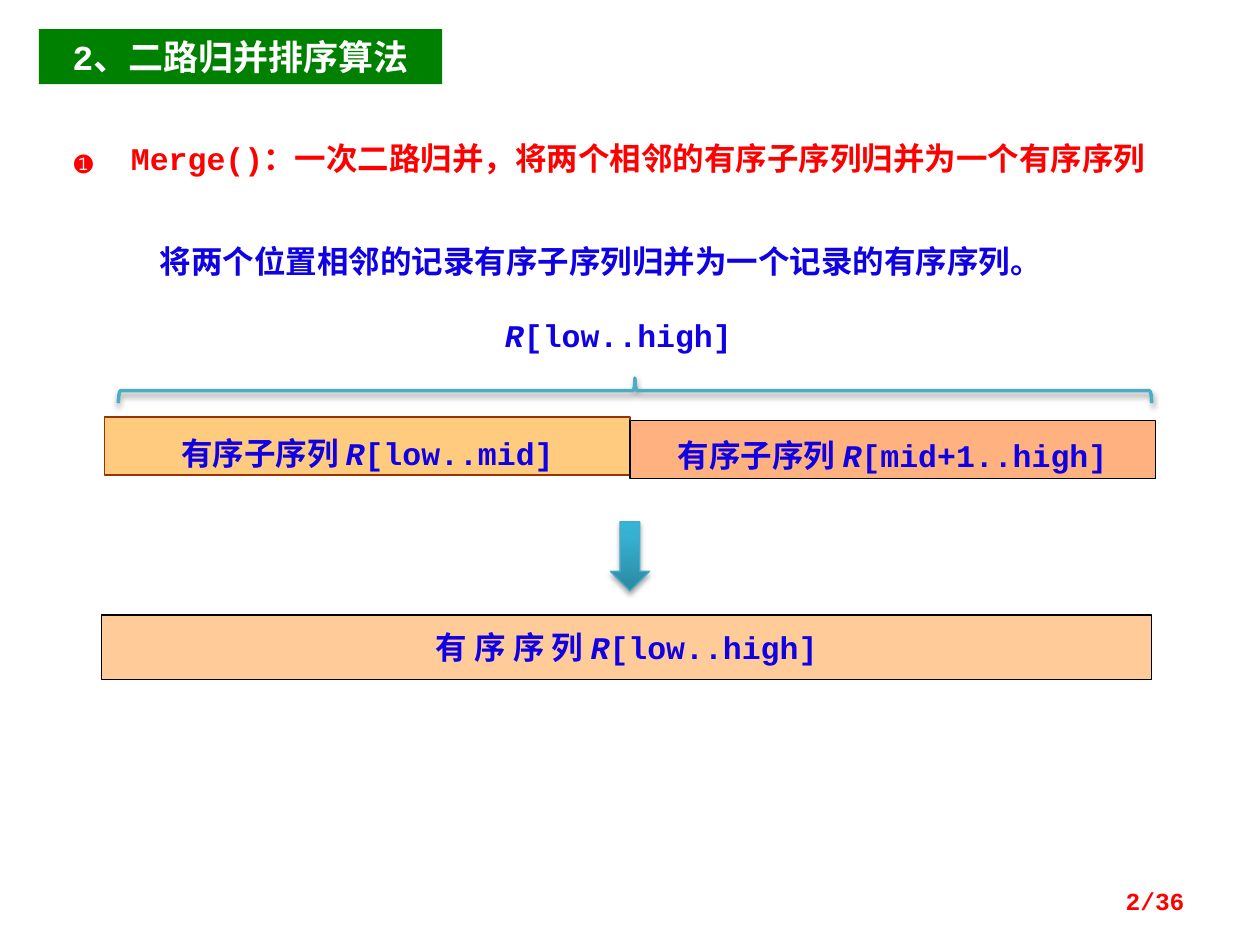
from copy import deepcopy
from dataclasses import dataclass
from typing import Optional

from lxml import etree
from pptx import Presentation
from pptx.dml.color import RGBColor
from pptx.enum.shapes import MSO_SHAPE
from pptx.enum.text import MSO_ANCHOR, PP_ALIGN
from pptx.oxml.ns import qn
from pptx.util import Pt

RECTANGLE = MSO_SHAPE.RECTANGLE
DOWN_ARROW = MSO_SHAPE.DOWN_ARROW
RIGHT_BRACE = MSO_SHAPE.RIGHT_BRACE
TOP, MIDDLE = MSO_ANCHOR.TOP, MSO_ANCHOR.MIDDLE
LEFT, CENTER, RIGHT = PP_ALIGN.LEFT, PP_ALIGN.CENTER, PP_ALIGN.RIGHT


@dataclass(frozen=True)
class Theme:
    font: str = "Courier New"
    title_size: float = 20
    body_size: float = 18
    page_size: float = 14
    white: str = "FFFFFF"
    black: str = "000000"
    blue: str = "1000E4"
    red: str = "FF0000"
    green: str = "008000"
    low_half: str = "FF9900"
    low_border: str = "993300"
    high_half: str = "FF6600"
    merged: str = "FFCC99"
    brace: str = "4BACC6"
    arrow_border: str = "46AAC5"
    arrow_stops: tuple = ((0, "2A88A2"), (0.8, "37B1D2"), (1, "34B4D6"))


THEME = Theme()


@dataclass(frozen=True)
class Area:
    left: float
    top: float
    width: float
    height: float

    def points(self) -> tuple:
        return Pt(self.left), Pt(self.top), Pt(self.width), Pt(self.height)


@dataclass(frozen=True)
class Label:
    area: Area
    phrases: tuple
    color: str = THEME.blue
    size: float = THEME.body_size
    alignment: PP_ALIGN = LEFT
    anchor: MSO_ANCHOR = TOP
    fill: Optional[str] = None
    opacity: int = 100
    border: Optional[str] = None
    border_width: float = 0.75
    line_spacing: Optional[float] = None
    exact_spacing: bool = False
    hanging: float = 0
    margins: tuple = (7.2, 3.6, 7.2, 3.6)
    wrap: bool = True


def array_name(bounds: str) -> tuple:
    return ("R", True), (bounds, False)


LABELS = (
    Label(Area(22.3, 16.6, 230.4, 31.5), (("2、二路归并排序算法", False),),
          color=THEME.white, size=THEME.title_size, alignment=CENTER, fill=THEME.green),
    Label(Area(28, 73.4, 658, 33),
          (("❶\tMerge()：一次二路归并，将两个相邻的有序子序列归并为一个有序序列", False),),
          color=THEME.red, fill=THEME.white, hanging=32.4, margins=(14.4, 5.8, 7.2, 5.8)),
    Label(Area(84.2, 129.6, 523.4, 34.6),
          (("将两个位置相邻的记录有序子序列归并为一个记录的有序序列。", False),),
          line_spacing=1.25),
    Label(Area(281.5, 177.1, 152, 28.8), array_name("[low..high]")),
    Label(Area(59.8, 238.3, 300.2, 33.1),
          (("有序子序列 ", False), *array_name("[low..mid]")),
          alignment=CENTER, fill=THEME.low_half, opacity=50, border=THEME.low_border,
          border_width=1, line_spacing=28, exact_spacing=True),
    Label(Area(360, 240.5, 300.2, 33.1),
          (("有序子序列 ", False), *array_name("[mid+1..high]")),
          alignment=CENTER, anchor=MIDDLE, fill=THEME.high_half, opacity=50,
          border=THEME.black, line_spacing=28, exact_spacing=True),
    Label(Area(58.1, 351.4, 600, 36.7),
          (("有 序 序 列 ", False), *array_name("[low..high]")),
          alignment=CENTER, anchor=MIDDLE, fill=THEME.merged, border=THEME.black,
          wrap=False),
    Label(Area(516.2, 500.4, 167.8, 28.8), (("2/36", False),),
          color=THEME.red, size=THEME.page_size, alignment=RIGHT, anchor=MIDDLE),
)


def rgb(color: str) -> RGBColor:
    return RGBColor.from_string(color)


def add_alpha(color_element, percent: int) -> None:
    etree.SubElement(color_element, qn("a:alpha"), val=str(percent * 1000))


def add_box(slide, label: Label):
    if label.fill is None:
        return slide.shapes.add_textbox(*label.area.points())
    shape = slide.shapes.add_shape(RECTANGLE, *label.area.points())
    shape.shadow.inherit = False
    shape.fill.solid()
    shape.fill.fore_color.rgb = rgb(label.fill)
    if label.opacity < 100:
        fill = shape.element.spPr.find(qn("a:solidFill"))
        add_alpha(fill.find(qn("a:srgbClr")), label.opacity)
    if label.border is None:
        shape.line.fill.background()
    else:
        shape.line.color.rgb = rgb(label.border)
        shape.line.width = Pt(label.border_width)
    return shape


def add_label(slide, label: Label) -> None:
    frame = add_box(slide, label).text_frame
    frame.word_wrap = label.wrap
    frame.vertical_anchor = label.anchor
    (frame.margin_left, frame.margin_top,
     frame.margin_right, frame.margin_bottom) = map(Pt, label.margins)
    paragraph = frame.paragraphs[0]
    paragraph.alignment = label.alignment
    if label.line_spacing is not None:
        spacing = label.line_spacing
        paragraph.line_spacing = Pt(spacing) if label.exact_spacing else spacing
    if label.hanging:
        properties = paragraph._p.get_or_add_pPr()
        properties.set("marL", str(Pt(label.hanging)))
        properties.set("indent", str(-Pt(label.hanging)))
    for text, italic in label.phrases:
        run = paragraph.add_run()
        run.text = text
        run.font.name = THEME.font
        run.font.size = Pt(label.size)
        run.font.bold = True
        run.font.italic = italic
        run.font.color.rgb = rgb(label.color)


def add_outlined(slide, kind: MSO_SHAPE, area: Area, color: str, width: float,
                 shadow_opacity: int, shadow_distance: float):
    shape = slide.shapes.add_shape(kind, *area.points())
    shape.line.color.rgb = rgb(color)
    shape.line.width = Pt(width)
    shape.shadow.inherit = False
    effects = shape.element.spPr.find(qn("a:effectLst"))
    shadow = etree.SubElement(effects, qn("a:outerShdw"), blurRad=str(Pt(3.1)),
                              dist=str(Pt(shadow_distance)), dir="5400000",
                              rotWithShape="0")
    add_alpha(etree.SubElement(shadow, qn("a:srgbClr"), val=THEME.black), shadow_opacity)
    return shape


def add_arrow(slide) -> None:
    arrow = add_outlined(slide, DOWN_ARROW, Area(348.8, 298.1, 22.4, 39.6),
                         THEME.arrow_border, 0.75, 35, 1.8)
    arrow.fill.gradient()
    arrow.fill.gradient_angle = 90
    stop_list = arrow.element.spPr.find(qn("a:gradFill")).find(qn("a:gsLst"))
    stop_list.append(deepcopy(stop_list[-1]))
    for stop, (position, color) in zip(arrow.fill.gradient_stops, THEME.arrow_stops):
        stop.position = position
        stop.color.rgb = rgb(color)


def add_brace(slide) -> None:
    brace = add_outlined(slide, RIGHT_BRACE, Area(355.7, -72, 14.4, 590.4),
                         THEME.brace, 2, 38, 1.6)
    brace.rotation = 270
    brace.fill.background()


def main() -> None:
    presentation = Presentation()
    presentation.slide_width, presentation.slide_height = Pt(720), Pt(540)
    slide = presentation.slides.add_slide(presentation.slide_layouts[6])
    for label in LABELS:
        add_label(slide, label)
    add_arrow(slide)
    add_brace(slide)
    presentation.save("out.pptx")


if __name__ == "__main__":
    main()
